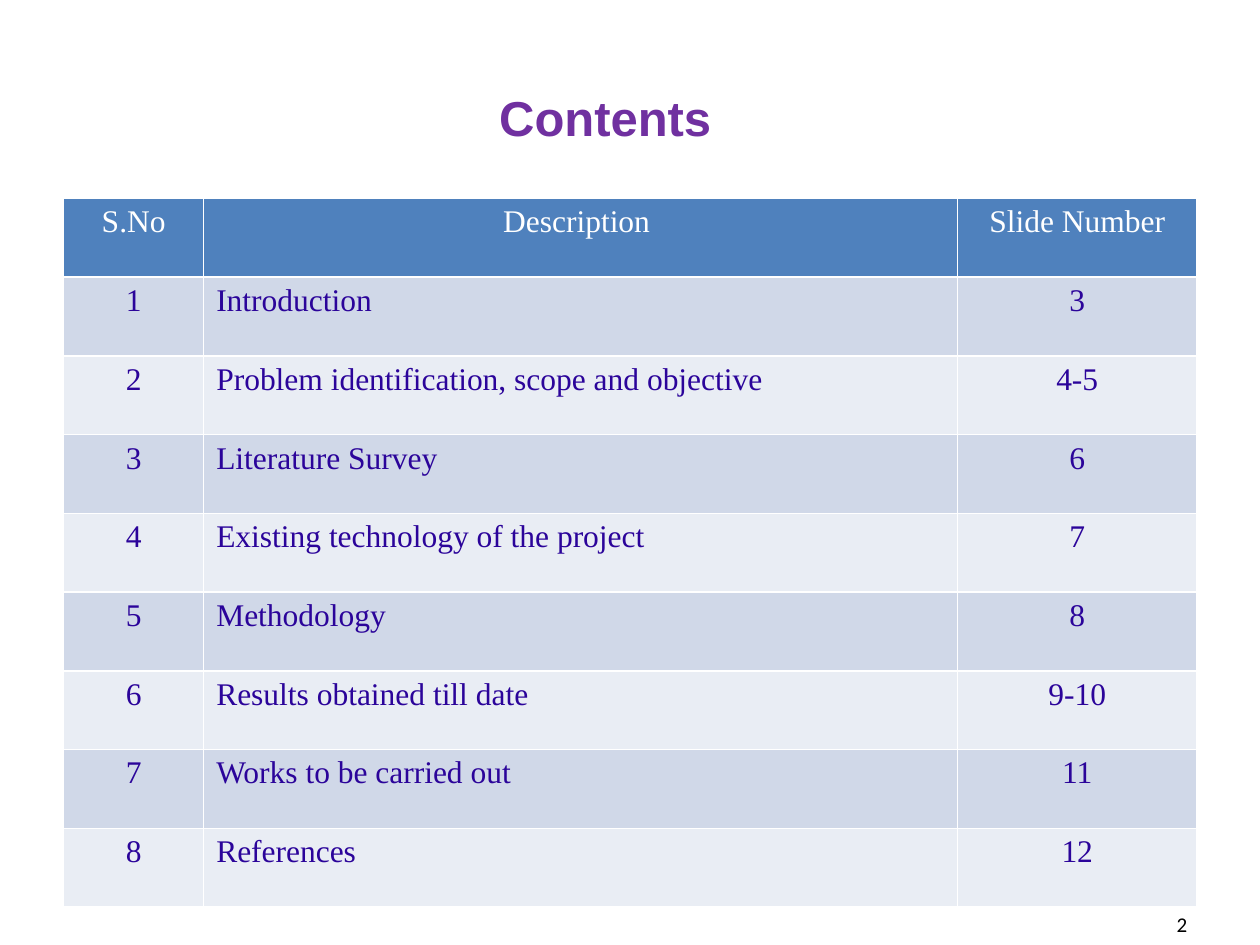
from pptx import Presentation
from pptx.dml.color import RGBColor
from pptx.enum.text import MSO_ANCHOR, PP_ALIGN
from pptx.util import Pt

TITLE = " Contents"
PAGE_NUMBER = "2"
ROWS = [
    ("S.No", "Description ", "Slide Number"),
    ("1", "Introduction", "3"),
    ("2", "Problem identification, scope and objective", "4-5"),
    ("3", "Literature Survey", "6"),
    ("4", "Existing technology of the project", "7"),
    ("5", "Methodology", "8"),
    ("6", "Results obtained till date", "9-10"),
    ("7", "Works to be carried out", "11"),
    ("8", "References", "12"),
]
COLUMN_WIDTHS = [80, 430.8, 136.8]
TABLE_LEFT, TABLE_TOP, ROW_HEIGHT = 36.4, 113.4, 45
HEADER_FILL, BAND_FILLS = "4F81BD", ("E9EDF4", "D0D8E8")
HEADER_TEXT, BODY_TEXT = "FFFFFF", "2B049A"


def color(value):
    return RGBColor.from_string(value)


def write(text_frame, text, font_name, size, text_color, align, bold=False):
    text_frame.text = text
    paragraph = text_frame.paragraphs[0]
    paragraph.alignment = align
    font = paragraph.runs[0].font
    font.name, font.size, font.bold = font_name, Pt(size), bold
    font.color.rgb = color(text_color)


def add_text(slide, box, *style, **options):
    shape = slide.shapes.add_textbox(*map(Pt, box))
    text_frame = shape.text_frame
    text_frame.word_wrap = True
    text_frame.vertical_anchor = MSO_ANCHOR.MIDDLE
    write(text_frame, *style, **options)


def add_contents_table(slide):
    # The default table style supplies the white cell borders
    table = slide.shapes.add_table(
        len(ROWS), len(COLUMN_WIDTHS), Pt(TABLE_LEFT), Pt(TABLE_TOP),
        Pt(sum(COLUMN_WIDTHS)), Pt(ROW_HEIGHT * len(ROWS))).table
    for column, width in zip(table.columns, COLUMN_WIDTHS):
        column.width = Pt(width)
    for row_index, values in enumerate(ROWS):
        header = row_index == 0
        table.rows[row_index].height = Pt(ROW_HEIGHT)
        for column_index, text in enumerate(values):
            cell = table.cell(row_index, column_index)
            cell.fill.solid()
            cell.fill.fore_color.rgb = color(HEADER_FILL if header else BAND_FILLS[row_index % 2])
            left_aligned = column_index == 1 and not header
            write(cell.text_frame, text, "Times New Roman", 18,
                  HEADER_TEXT if header else BODY_TEXT,
                  PP_ALIGN.LEFT if left_aligned else PP_ALIGN.CENTER)


def main():
    presentation = Presentation()
    presentation.slide_width, presentation.slide_height = Pt(720), Pt(540)
    slide = presentation.slides.add_slide(presentation.slide_layouts[6])

    # Title, page number and table
    add_text(slide, (0, 21.6, 684, 90), TITLE, "Arial", 28, "7030A0", PP_ALIGN.CENTER, bold=True)
    add_text(slide, (517.7, 511.2, 167.8, 33.8), PAGE_NUMBER, "Calibri", 12, "000000", PP_ALIGN.RIGHT)
    add_contents_table(slide)
    presentation.save("out.pptx")


if __name__ == "__main__":
    main()
